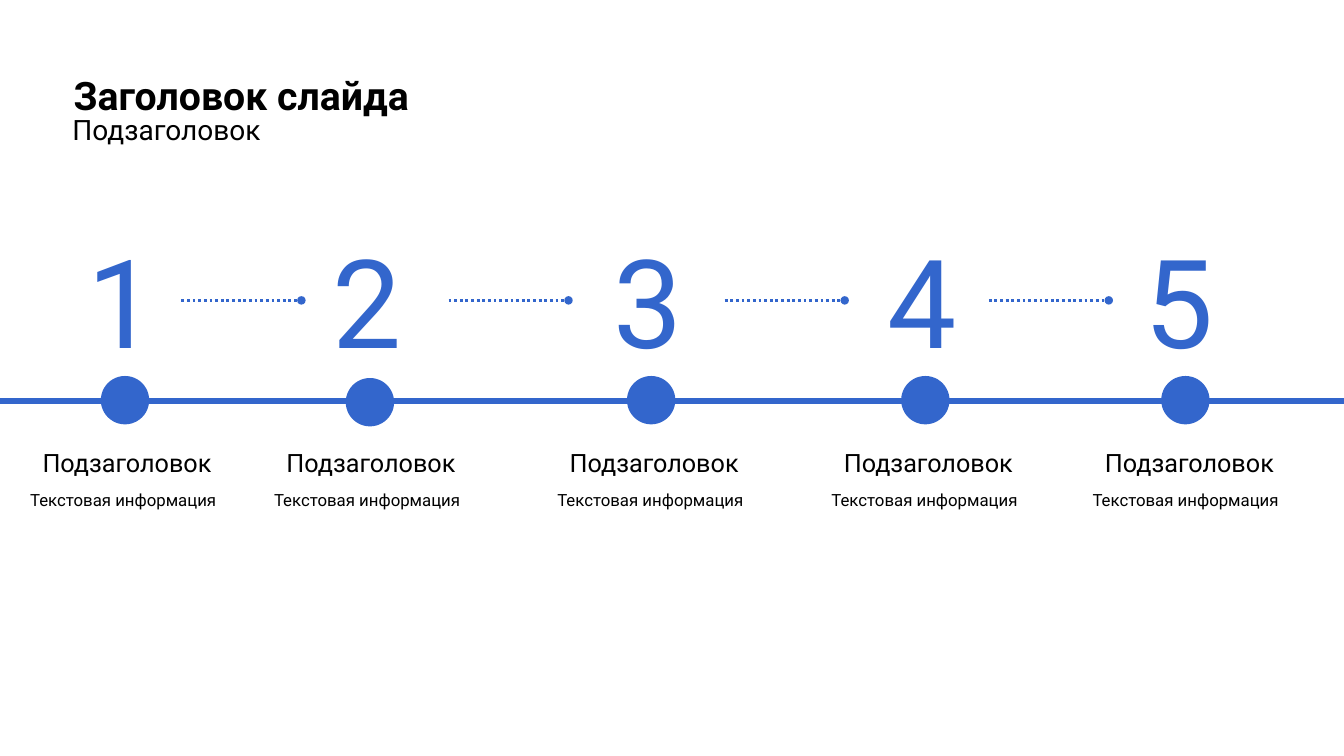
from dataclasses import dataclass
from typing import Optional

import lxml.etree
import pptx
import pptx.dml.color
import pptx.enum.dml
import pptx.enum.shapes
import pptx.enum.text
import pptx.oxml.ns
import pptx.util

# The slide is a grid of square cells, 80 columns by 45 rows.
COLUMNS, ROWS = 80, 45
FONT = "Roboto"
BLUE, BLACK = "3366CC", "000000"

LINE_ROW, LINK_ROW = 23.88, 17.88
LINK_WIDTH = 7.14
DOT_SIZE = 2.88

ALIGN = pptx.enum.text.PP_ALIGN
ANCHOR = pptx.enum.text.MSO_ANCHOR
AUTO_SIZE = pptx.enum.text.MSO_AUTO_SIZE

presentation = pptx.Presentation()
presentation.slide_width = pptx.util.Inches(13.333)
presentation.slide_height = pptx.util.Inches(7.5)


@dataclass(frozen=True)
class Stage:
    """Centres of a stage's parts and the start of its link, in grid columns."""
    number: str
    number_column: float
    dot_column: float
    label_column: float
    link_start: Optional[float] = None
    dot_row: float = 23.82


STAGES = [
    Stage("1", 7.44, 7.44, 7.56, 10.8),
    Stage("2", 22.02, 22.02, 22.08, 26.7, dot_row=23.94),
    Stage("3", 38.76, 38.76, 38.94, 43.14),
    Stage("4", 55.08, 55.08, 55.26, 58.86),
    Stage("5", 70.38, 70.56, 70.8),
]


def across(columns: float) -> int:
    return round(presentation.slide_width * columns / COLUMNS)


def down(rows: float) -> int:
    return round(presentation.slide_height * rows / ROWS)


def box(left: float, top: float, width: float, height: float) -> tuple:
    return across(left), down(top), across(width), down(height)


def color(value: str) -> pptx.dml.color.RGBColor:
    return pptx.dml.color.RGBColor.from_string(value)


def write(frame, text: str, *, size: float, fill: str = BLACK, bold: bool = False,
          align=ALIGN.LEFT, anchor=ANCHOR.TOP, wrap: bool = True,
          auto_size=AUTO_SIZE.SHAPE_TO_FIT_TEXT, spacing=None) -> None:
    frame.auto_size = auto_size
    frame.word_wrap = wrap
    frame.vertical_anchor = anchor
    paragraph = frame.paragraphs[0]
    paragraph.alignment = align
    if spacing is not None:
        paragraph.line_spacing = spacing
    run = paragraph.add_run()
    run.text = text
    run.font.name = FONT
    run.font.size = pptx.util.Pt(size)
    run.font.bold = bold
    run.font.color.rgb = color(fill)


def add_text(slide, place: tuple, text: str, **text_format) -> None:
    write(slide.shapes.add_textbox(*place).text_frame, text, **text_format)


def add_line(slide, start: float, end: float, row: float, weight: float,
             dotted: bool = False) -> None:
    """Draw a horizontal line; a dotted one ends in a round head."""
    connector = slide.shapes.add_connector(
        pptx.enum.shapes.MSO_CONNECTOR.STRAIGHT,
        across(start), down(row), across(end), down(row))
    connector.line.color.rgb = color(BLUE)
    connector.line.width = pptx.util.Pt(weight)
    if dotted:
        connector.line.dash_style = pptx.enum.dml.MSO_LINE.ROUND_DOT
        lxml.etree.SubElement(connector.line._get_or_add_ln(),
                              pptx.oxml.ns.qn("a:tailEnd"), type="oval")
    lxml.etree.SubElement(connector._element.spPr, pptx.oxml.ns.qn("a:effectLst"))


def add_dot(slide, column: float, row: float) -> None:
    dot = slide.shapes.add_shape(
        pptx.enum.shapes.MSO_SHAPE.OVAL,
        *box(column - DOT_SIZE / 2, row - DOT_SIZE / 2, DOT_SIZE, DOT_SIZE))
    dot.shadow.inherit = False
    dot.fill.solid()
    dot.fill.fore_color.rgb = color(BLUE)
    dot.line.fill.background()


def centred_box(column: float, top: float, width: float, height: float) -> tuple:
    return box(column - width / 2, top, width, height)


def add_stage(slide, stage: Stage) -> None:
    add_text(slide, centred_box(stage.number_column, 13.14, 5.64, 9.48),
             stage.number, size=88, fill=BLUE, wrap=False)
    add_dot(slide, stage.dot_column, stage.dot_row)
    add_text(slide, centred_box(stage.label_column, 26.34, 13.32, 2.4),
             "Подзаголовок", size=18, align=ALIGN.CENTER)
    add_text(slide, centred_box(stage.label_column, 28.8, 12.72, 1.86),
             "Текстовая информация", size=12, spacing=pptx.util.Pt(15))
    if stage.link_start is not None:
        add_line(slide, stage.link_start, stage.link_start + LINK_WIDTH,
                 LINK_ROW, 2, dotted=True)


def main() -> None:
    slide = presentation.slides.add_slide(
        presentation.slide_layouts.get_by_name("Title Only"))
    title = slide.shapes.title
    title.left, title.top, title.width, title.height = box(3.78, 3.84, 72.12, 3.96)
    write(title.text_frame, "Заголовок слайда", size=28, bold=True,
          anchor=ANCHOR.MIDDLE, auto_size=AUTO_SIZE.NONE, spacing=0.9)
    add_text(slide, box(3.72, 6.42, 12.48, 2.64), "Подзаголовок", size=20, wrap=False)
    add_line(slide, -0.9, 82.14, LINE_ROW, 4.5)
    for stage in STAGES:
        add_stage(slide, stage)
    presentation.save("out.pptx")


if __name__ == "__main__":
    main()
